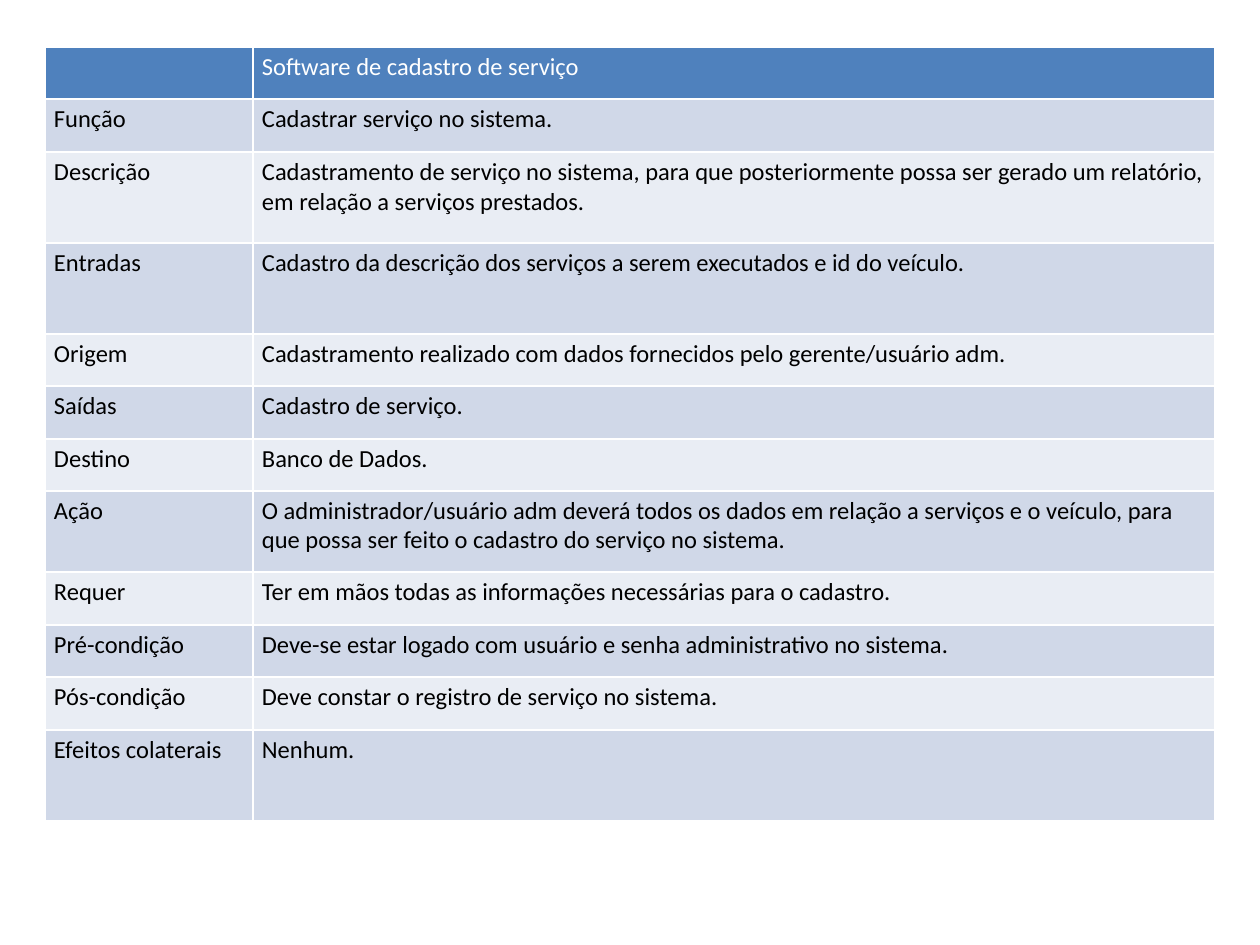
from pptx import Presentation
from pptx.dml.color import RGBColor as Color
from pptx.util import Emu, Pt

PIXEL = 914400 // 126
HEADER_BLUE = Color(0x4F, 0x81, 0xBD)
BANDS = (Color(0xD0, 0xD8, 0xE8), Color(0xE9, 0xED, 0xF4))
WHITE = Color(0xFF, 0xFF, 0xFF)
BLACK = Color(0x00, 0x00, 0x00)

LEFT, TOP = 45, 47
COLUMN_WIDTHS = (208, 962)

# Bottom edge of each row, label, description
ROWS = (
    (99, "", "Software de cadastro de serviço"),
    (152, "Função", "Cadastrar serviço no sistema."),
    (243, "Descrição", "Cadastramento de serviço no sistema, para que posteriormente "
     "possa ser gerado um relatório, em relação a serviços prestados."),
    (334, "Entradas", "Cadastro da descrição dos serviços a serem executados e id do veículo."),
    (386, "Origem", "Cadastramento realizado com dados fornecidos pelo gerente/usuário adm."),
    (439, "Saídas", "Cadastro de serviço."),
    (491, "Destino", "Banco de Dados."),
    (572, "Ação", "O administrador/usuário adm deverá todos os dados em relação a serviços "
     "e o veículo, para que possa ser feito o cadastro do serviço no sistema."),
    (625, "Requer", "Ter em mãos todas as informações necessárias para o cadastro."),
    (677, "Pré-condição", "Deve-se estar logado com usuário e senha administrativo no sistema."),
    (730, "Pós-condição", "Deve constar o registro de serviço no sistema."),
    (821, "Efeitos colaterais", "Nenhum."),
)


def px(length):
    return Emu(length * PIXEL)


def fill_cell(cell, text, fill, color):
    cell.fill.solid()
    cell.fill.fore_color.rgb = fill
    cell.margin_left = cell.margin_right = px(9)
    cell.margin_top = cell.margin_bottom = px(5)
    para = cell.text_frame.paragraphs[0]
    para.font.size = Pt(14)
    if text:
        span = para.add_run()
        span.text = text
        span.font.name = "Calibri"
        span.font.size = Pt(14)
        span.font.bold = False
        span.font.color.rgb = color


def add_requirements_table(page):
    # The default table style supplies the white cell borders
    frame = page.shapes.add_table(len(ROWS), len(COLUMN_WIDTHS), px(LEFT), px(TOP),
                                  px(sum(COLUMN_WIDTHS)), px(ROWS[-1][0] - TOP))
    table = frame.table
    for column, width in zip(table.columns, COLUMN_WIDTHS):
        column.width = px(width)
    row_top = TOP
    for index, (bottom, *texts) in enumerate(ROWS):
        row = table.rows[index]
        row.height = px(bottom - row_top)
        row_top = bottom
        fill = BANDS[(index - 1) % 2] if index else HEADER_BLUE
        for cell, text in zip(row.cells, texts):
            fill_cell(cell, text, fill, BLACK if index else WHITE)


def main():
    deck = Presentation()
    deck.slide_width, deck.slide_height = px(1260), px(945)
    # Blank layout
    page = deck.slides.add_slide(deck.slide_layouts[6])
    add_requirements_table(page)
    deck.save("out.pptx")


main()
